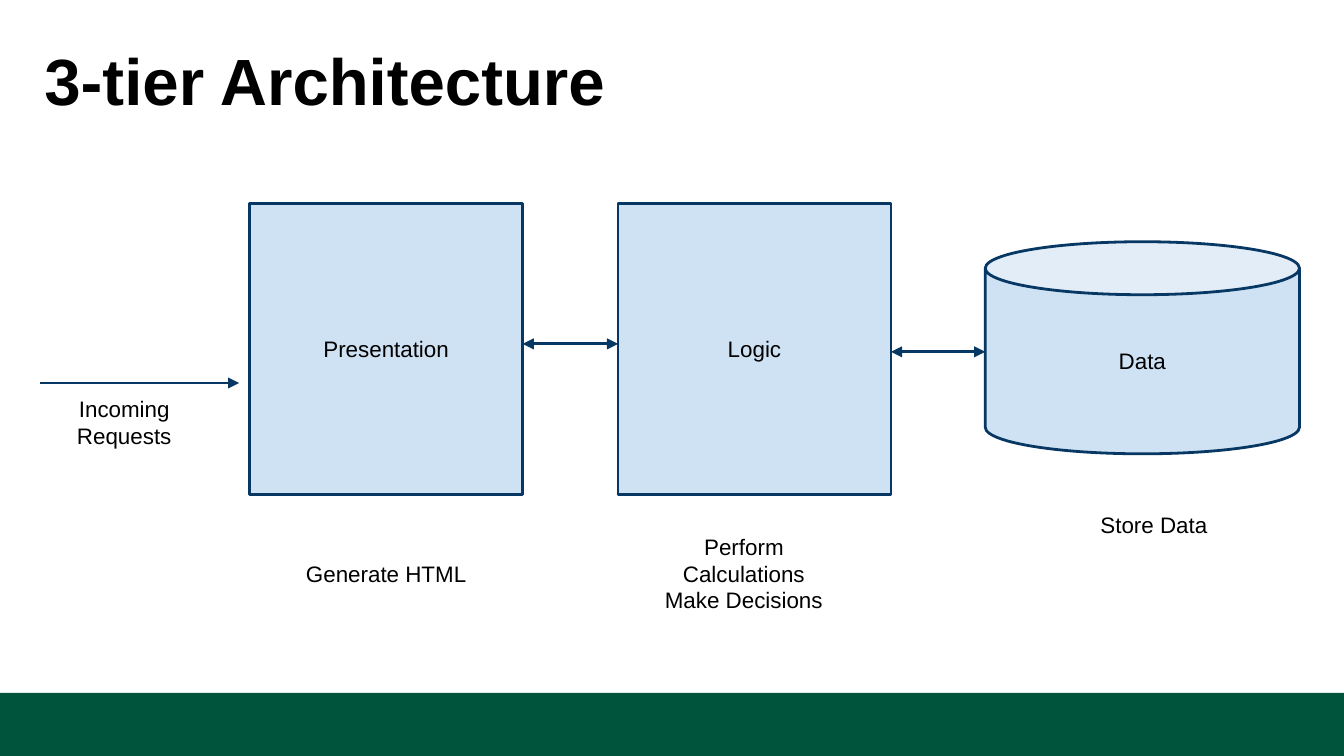
from typing import NamedTuple

from lxml.etree import SubElement
from pptx import Presentation
from pptx.dml.color import RGBColor
from pptx.enum.shapes import MSO_CONNECTOR as Connector, MSO_SHAPE as Shape
from pptx.enum.text import MSO_ANCHOR as Anchor, PP_ALIGN as Align
from pptx.oxml.ns import qn
from pptx.util import Cm, Pt

BLACK = RGBColor(0x00, 0x00, 0x00)
GREEN = RGBColor(0x00, 0x54, 0x3C)
NAVY = RGBColor(0x07, 0x37, 0x63)
PALE_BLUE = RGBColor(0xCF, 0xE2, 0xF3)
FONT = "Arial"
LINE_WIDTH = Pt(1.5)
SLIDE_WIDTH, SLIDE_HEIGHT = 25.4, 14.29
BAND_TOP = 13.1
TIER_TOP, TIER_WIDTH, TIER_HEIGHT = 3.84, 5.16, 5.51
PRESENTATION_LEFT, LOGIC_LEFT, DATA_LEFT = 4.72, 11.68, 18.62
CAPTION_WIDTH, CAPTION_HEIGHT = 3.58, 0.89


class Tier(NamedTuple):
    name: str
    kind: Shape
    left: float
    top: float
    width: float
    height: float


class Caption(NamedTuple):
    lines: tuple[str, ...]
    left: float
    top: float


class Arrow(NamedTuple):
    start: float
    end: float
    y: float
    ends: tuple[str, ...]


TIERS = (
    Tier("Data", Shape.CAN, DATA_LEFT, 4.57, 5.94, 4.01),
    Tier("Logic", Shape.RECTANGLE, LOGIC_LEFT, TIER_TOP, TIER_WIDTH, TIER_HEIGHT),
    Tier("Presentation", Shape.RECTANGLE, PRESENTATION_LEFT, TIER_TOP, TIER_WIDTH, TIER_HEIGHT),
)
CAPTIONS = (
    Caption(("Incoming Requests",), 0.56, 7.54),
    Caption(("Generate HTML",), 5.51, 10.39),
    Caption(("Perform Calculations", "Make Decisions"), 12.27, 10.39),
    Caption(("Store Data",), 20.02, 9.47),
)
ARROWS = (
    Arrow(0.76, 4.52, 7.24, ("tailEnd",)),
    Arrow(PRESENTATION_LEFT + TIER_WIDTH, LOGIC_LEFT, 6.5, ("headEnd", "tailEnd")),
    Arrow(LOGIC_LEFT + TIER_WIDTH, DATA_LEFT, 6.65, ("headEnd", "tailEnd")),
)


def write(box, lines: tuple[str, ...], size: float = 12, bold: bool = False,
          align: Align = Align.CENTER, inset: float = 0.25) -> None:
    frame = box.text_frame
    frame.word_wrap = True
    frame.vertical_anchor = Anchor.MIDDLE
    frame.margin_left = frame.margin_right = Cm(inset)
    frame.margin_top = frame.margin_bottom = Cm(inset)
    para = frame.paragraphs[0]
    para.alignment = align
    for index, line in enumerate(lines):
        if index:
            para.add_line_break()
        span = para.add_run()
        span.text = line
        span.font.name = FONT
        span.font.size = Pt(size)
        span.font.bold = bold
        span.font.color.rgb = BLACK


def draw_shape(page, kind: Shape, left: float, top: float, width: float,
               height: float, fill: RGBColor):
    box = page.shapes.add_shape(kind, Cm(left), Cm(top), Cm(width), Cm(height))
    box.shadow.inherit = False
    box.fill.solid()
    box.fill.fore_color.rgb = fill
    return box


def draw_tier(page, tier: Tier) -> None:
    box = draw_shape(page, tier.kind, tier.left, tier.top, tier.width, tier.height, PALE_BLUE)
    box.line.color.rgb = NAVY
    box.line.width = LINE_WIDTH
    write(box, (tier.name,))


def draw_caption(page, caption: Caption) -> None:
    box = page.shapes.add_textbox(Cm(caption.left), Cm(caption.top),
                                  Cm(CAPTION_WIDTH), Cm(CAPTION_HEIGHT))
    write(box, caption.lines)


def draw_arrow(page, arrow: Arrow) -> None:
    link = page.shapes.add_connector(Connector.STRAIGHT, Cm(arrow.start), Cm(arrow.y),
                                     Cm(arrow.end), Cm(arrow.y))
    link.line.color.rgb = NAVY
    link.line.width = LINE_WIDTH
    properties = link.element.spPr
    outline = properties.find(qn("a:ln"))
    for end in arrow.ends:
        SubElement(outline, qn(f"a:{end}"), type="triangle", w="med", len="med")
    SubElement(properties, qn("a:effectLst"))


def build() -> None:
    deck = Presentation()
    deck.slide_width, deck.slide_height = Cm(SLIDE_WIDTH), Cm(SLIDE_HEIGHT)
    page = deck.slides.add_slide(deck.slide_layouts[6])

    band = draw_shape(page, Shape.RECTANGLE, 0, BAND_TOP, SLIDE_WIDTH,
                      SLIDE_HEIGHT - BAND_TOP, GREEN)
    band.line.fill.background()
    title = page.shapes.add_textbox(Cm(0.76), Cm(0.58), Cm(24.05), Cm(1.85))
    write(title, ("3-tier Architecture",), size=35, bold=True, align=Align.LEFT, inset=0.08)

    for tier in TIERS:
        draw_tier(page, tier)
    for caption in CAPTIONS:
        draw_caption(page, caption)
    for arrow in ARROWS:
        draw_arrow(page, arrow)

    deck.save("out.pptx")


build()
